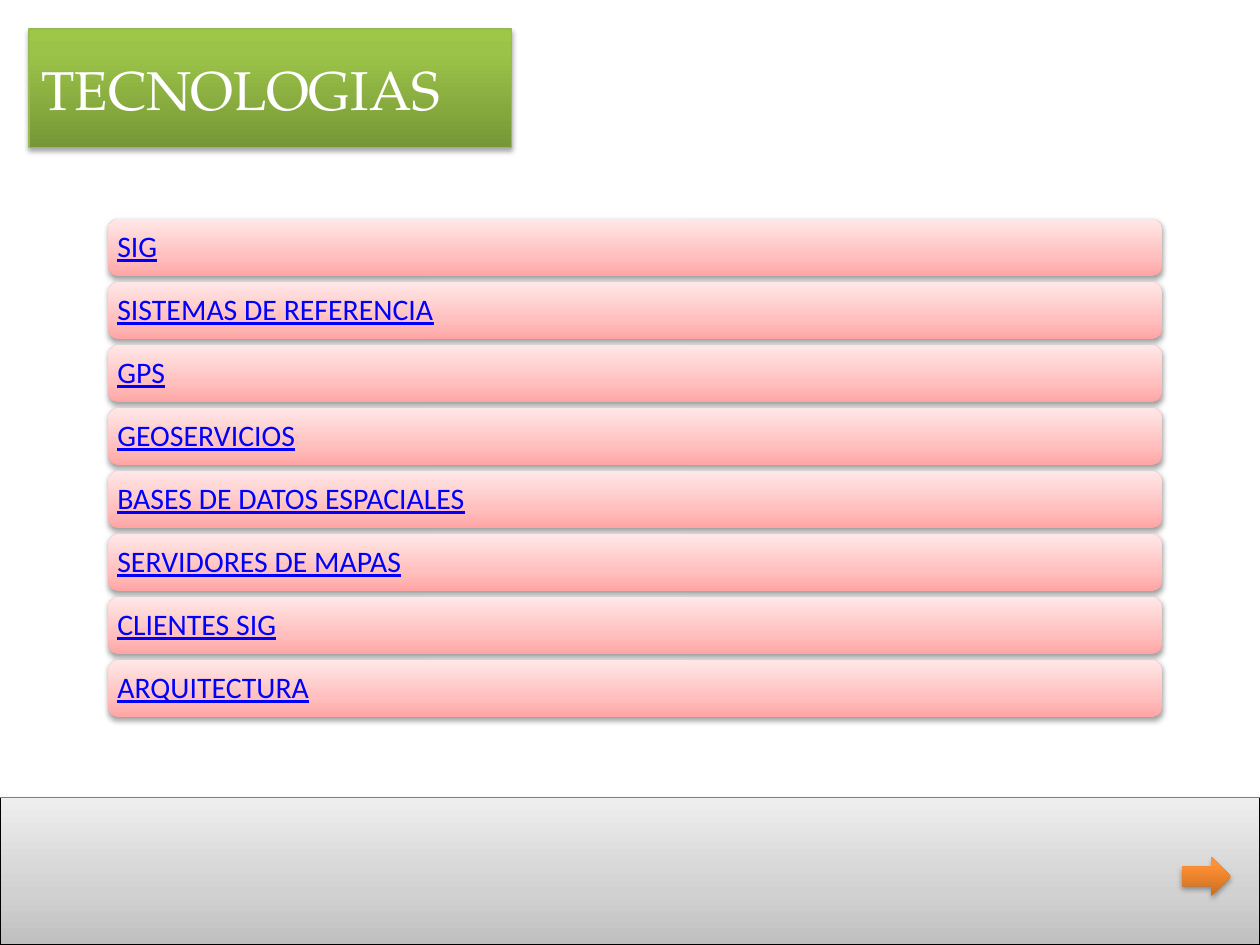
import pptx
import pptx.dml.color
import pptx.enum.shapes
import pptx.enum.text
import pptx.oxml
import pptx.oxml.ns
import pptx.util
from pptx.util import Inches

RGBColor = pptx.dml.color.RGBColor
Shape = pptx.enum.shapes.MSO_SHAPE
qn = pptx.oxml.ns.qn

BLACK = RGBColor(0x00, 0x00, 0x00)
WHITE = RGBColor(0xFF, 0xFF, 0xFF)
GRAY = RGBColor(0x80, 0x80, 0x80)
LINK_BLUE = RGBColor(0x00, 0x00, 0xFF)
GREEN_EDGE = RGBColor(0x98, 0xB9, 0x55)


def stops(middle, *colors):
    return list(zip((0, middle, 100), (RGBColor.from_string(c) for c in colors)))


GRAY_STOPS = stops(35, "BFBFBF", "D1D1D1", "EEEEEE")
PINK_STOPS = stops(35, "FFA6A5", "FFC0BF", "FFE7E7")
GREEN_STOPS = stops(80, "779737", "9BC348", "9DC746")
ORANGE_STOPS = stops(80, "CC6E20", "FF9034", "FF9136")

TOPICS = [
    "SIG",
    "SISTEMAS DE REFERENCIA",
    "GPS",
    "GEOSERVICIOS",
    "BASES DE DATOS ESPACIALES",
    "SERVIDORES DE MAPAS",
    "CLIENTES SIG",
    "ARQUITECTURA",
]


def fill_gradient(shape, color_stops):
    shape.fill.gradient()
    shape.fill.gradient_angle = 90
    stop_list = shape._element.spPr.find(qn("a:gradFill")).find(qn("a:gsLst"))
    for stop in list(stop_list):
        stop_list.remove(stop)
    for position, color in color_stops:
        stop = pptx.oxml.ns.nsdecls("a")
        stop_list.append(pptx.oxml.parse_xml(
            f'<a:gs {stop} pos="{position * 1000}"><a:srgbClr val="{color}"/></a:gs>'))


def add_shadow(shape, opacity, distance):
    shape.shadow.inherit = False
    effects = shape._element.spPr.find(qn("a:effectLst"))
    effects.append(pptx.oxml.parse_xml(
        f'<a:outerShdw {pptx.oxml.ns.nsdecls("a")} blurRad="{pptx.util.Pt(3.1)}" '
        f'dist="{pptx.util.Pt(distance)}" dir="5400000" rotWithShape="0">'
        f'<a:srgbClr val="{BLACK}"><a:alpha val="{opacity * 1000}"/></a:srgbClr>'
        '</a:outerShdw>'))


def add_panel(page, kind, place, color_stops, edge=None, opacity=38, distance=1.6):
    shape = page.shapes.add_shape(kind, *(Inches(length) for length in place))
    fill_gradient(shape, color_stops)
    if edge is None:
        shape.line.fill.background()
    else:
        shape.line.color.rgb = edge
        shape.line.width = pptx.util.Pt(0.75)
    add_shadow(shape, opacity, distance)
    return shape


def add_label(shape, text, font, size, color, underline=False):
    frame = shape.text_frame
    frame.word_wrap = True
    frame.vertical_anchor = pptx.enum.text.MSO_ANCHOR.MIDDLE
    para = frame.paragraphs[0]
    para.alignment = pptx.enum.text.PP_ALIGN.LEFT
    span = para.add_run()
    span.text = text
    span.font.name = font
    span.font.size = pptx.util.Pt(size)
    span.font.color.rgb = color
    span.font.underline = underline
    return para


def add_footer(page):
    add_panel(page, Shape.RECTANGLE, (0, 6.33, 10, 1.17), GRAY_STOPS, BLACK)
    rule = page.shapes.add_connector(
        pptx.enum.shapes.MSO_CONNECTOR.STRAIGHT,
        Inches(0), Inches(6.33), Inches(10), Inches(6.33))
    rule.line.color.rgb = GRAY
    rule.line.width = pptx.util.Pt(1)
    pptx.oxml.parse_xml
    rule._element.spPr.append(
        pptx.oxml.parse_xml(f'<a:effectLst {pptx.oxml.ns.nsdecls("a")}/>'))


def add_topic(page, index, topic):
    bar = add_panel(page, Shape.ROUNDED_RECTANGLE,
                    (0.86, 1.74 + 0.5 * index, 8.36, 0.45), PINK_STOPS)
    frame = bar.text_frame
    frame.margin_left = frame.margin_right = Inches(0.05)
    frame.margin_top = frame.margin_bottom = Inches(0.05)
    para = add_label(bar, topic, "Calibri", 17, LINK_BLUE, True)
    para.line_spacing = 0.9


def main():
    deck = pptx.Presentation()
    deck.slide_width = Inches(10)
    deck.slide_height = Inches(7.5)
    page = deck.slides.add_slide(deck.slide_layouts[6])
    add_footer(page)
    for index, topic in enumerate(TOPICS):
        add_topic(page, index, topic)
    title = add_panel(page, Shape.RECTANGLE, (0.23, 0.23, 3.83, 0.94),
                      GREEN_STOPS, GREEN_EDGE, 35, 1.8)
    add_label(title, "TECNOLOGIAS", "TeX Gyre Pagella", 31.2, WHITE)
    add_panel(page, Shape.RIGHT_ARROW, (9.38, 6.8, 0.39, 0.31),
              ORANGE_STOPS, None, 35, 1.8)
    deck.save("out.pptx")


main()
